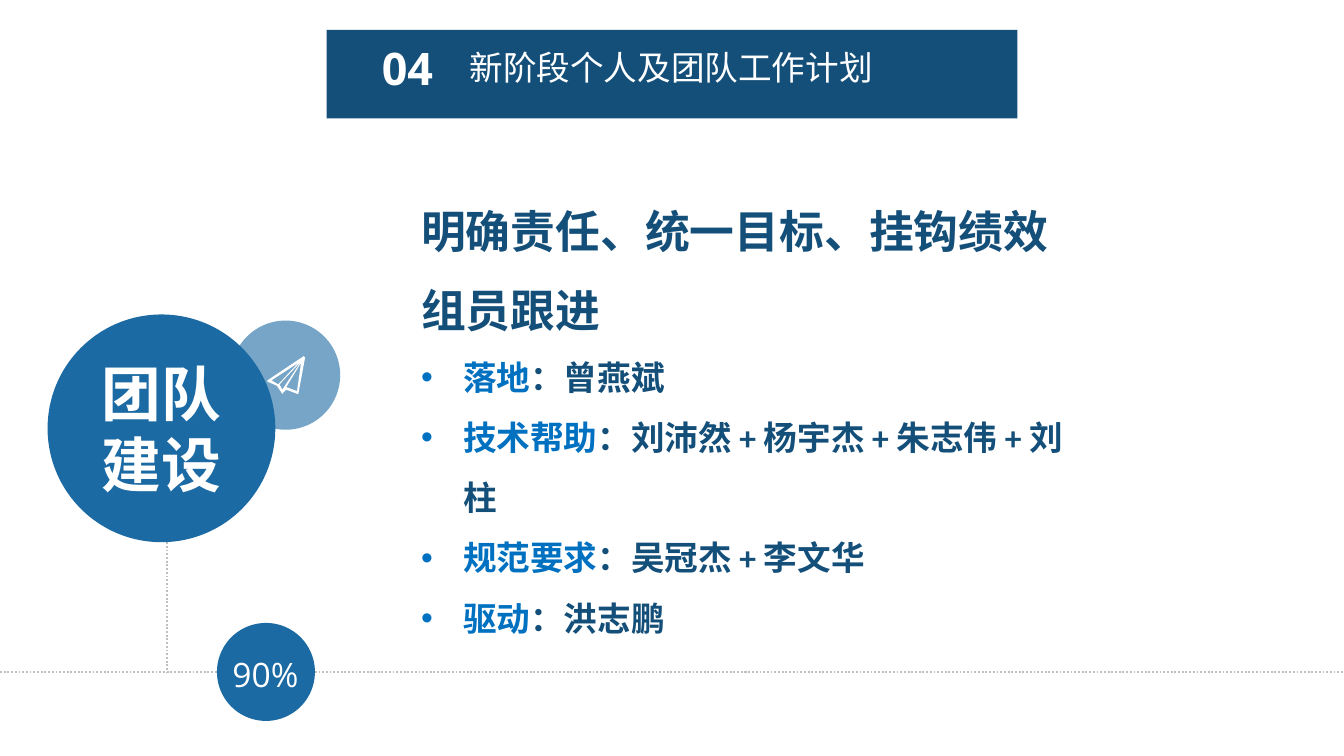
from dataclasses import dataclass

from lxml import etree
from pptx import Presentation, util as u
from pptx.dml.color import RGBColor
from pptx.enum import dml, shapes, text
from pptx.oxml.ns import qn


@dataclass(frozen=True)
class Theme:
    navy: str = "144F7A"
    blue: str = "1B6AA3"
    accent: str = "0070C0"
    white: str = "FFFFFF"
    grey: str = "BFBFBF"
    cjk: str = "Noto Sans CJK SC"
    latin: str = "Open Sans"
    body: str = "Calibri"
    small: int = 18
    large: int = 24
    huge: int = 32


class Deck:
    def __init__(self, s, theme):
        self.s = s
        self.t = theme

    def shape(self, kind, x, y, w, h, color, alpha=None):
        sp = self.s.shapes.add_shape(kind, u.Pt(x), u.Pt(y), u.Pt(w), u.Pt(h))
        self.paint(sp, color)
        if alpha:
            clr = sp.fill._xPr.find(qn("a:solidFill"))[0]
            etree.SubElement(clr, qn("a:alpha"), val=str(alpha * 1000))
        return sp

    def circle(self, cx, cy, d, color, alpha=None):
        return self.shape(shapes.MSO_SHAPE.OVAL, cx - d / 2, cy - d / 2, d, d, color, alpha)

    def paint(self, sp, color):
        sp.shadow.inherit = False
        sp.fill.solid()
        sp.fill.fore_color.rgb = RGBColor.from_string(color)
        sp.line.fill.background()

    def line(self, x1, y1, x2, y2):
        c = self.s.shapes.add_connector(
            shapes.MSO_CONNECTOR.STRAIGHT, u.Pt(x1), u.Pt(y1), u.Pt(x2), u.Pt(y2))
        c.line.color.rgb = RGBColor.from_string(self.t.grey)
        c.line.width = u.Pt(1)
        c.line.dash_style = dml.MSO_LINE.ROUND_DOT
        etree.SubElement(c._element.spPr, qn("a:effectLst"))

    def outline(self, x, y, unit, contours, color):
        first, *rest = contours
        fb = self.s.shapes.build_freeform(*first[0], scale=u.Pt(unit))
        fb.add_line_segments(first[1:], close=True)
        for points in rest:
            fb.move_to(*points[0])
            fb.add_line_segments(points[1:], close=True)
        self.paint(fb.convert_to_shape(u.Pt(x), u.Pt(y)), color)

    def textbox(self, x, y, w, h, wrap=True, top=3.6, right=7.2):
        tf = self.s.shapes.add_textbox(u.Pt(x), u.Pt(y), u.Pt(w), u.Pt(h)).text_frame
        tf.word_wrap = wrap
        tf.margin_top, tf.margin_right = u.Pt(top), u.Pt(right)
        return tf

    def style(self, r, size, font, color, bold=False):
        r.font.size = u.Pt(size)
        r.font.bold = bold
        r.font.name = font
        r.font.color.rgb = RGBColor.from_string(color)
        if font == self.t.cjk:
            ea = etree.Element(qn("a:ea"), typeface=font)
            r._r.rPr.find(qn("a:latin")).addnext(ea)

    def label(self, tf, content, size, font, color, bold=False, align=None, spacing=None):
        tf.text = content
        for p in tf.paragraphs:
            p.alignment = align
            if spacing:
                p.line_spacing = u.Pt(spacing)
            self.style(p.runs[0], size, font, color, bold)

    def bullet(self, tf, term, names, spacing, indent):
        p = tf.add_paragraph()
        p.line_spacing = u.Pt(spacing)
        pPr = p._p.get_or_add_pPr()
        pPr.set("marL", str(u.Pt(indent)))
        pPr.set("indent", str(-u.Pt(indent)))
        etree.SubElement(pPr, qn("a:buFont"), typeface="Arial")
        etree.SubElement(pPr, qn("a:buChar"), char="•")
        for content, color in ((term, self.t.accent), ("：" + names, self.t.navy)):
            r = p.add_run()
            r.text = content
            self.style(r, self.t.small, self.t.body, color, True)


PLANE = [
    [(27, 0), (0, 18), (0.5, 19), (7, 22), (11, 28), (14, 25), (22, 28), (23, 28), (28, 1)],
    [(22, 26), (14, 23), (25, 5)],
    [(9, 21), (25, 4), (11, 25)],
    [(3, 18), (23, 5), (8, 21)],
]
ROLES = [
    ("落地", "曾燕斌"),
    ("技术帮助", "刘沛然 + 杨宇杰 + 朱志伟 + 刘柱"),
    ("规范要求", "吴冠杰 + 李文华"),
    ("驱动", "洪志鹏"),
]


def main():
    prs = Presentation()
    prs.slide_width, prs.slide_height = u.Pt(720), u.Pt(405)
    t = Theme()
    d = Deck(prs.slides.add_slide(prs.slide_layouts[6]), t)
    center = text.PP_ALIGN.CENTER

    d.shape(shapes.MSO_SHAPE.RECTANGLE, 175, 16, 370, 47.5, t.navy)
    d.label(d.textbox(174, 18.5, 88.5, 36), "04", t.large, t.latin, t.white, True, center)
    d.label(d.textbox(244.5, 24.5, 230.5, 29, top=0.6), "新阶段个人及团队工作计划",
            t.small, t.cjk, t.white)

    d.line(89.5, 286.5, 89.5, 360)
    d.line(0, 360, 405, 360)
    d.circle(153, 201, 58.5, t.blue, 60)
    team = d.circle(86.5, 229.5, 122, t.blue)
    team.text_frame.vertical_anchor = text.MSO_ANCHOR.MIDDLE
    d.label(team.text_frame, "团队\n建设", t.huge, t.body, t.white, True, center, 38)
    d.outline(143.3, 190.8, 0.72, PLANE, t.white)

    d.circle(142.5, 360, 52.5, t.blue)
    d.label(d.textbox(116, 347, 51, 29, wrap=False), "90%", t.small, t.latin, t.white,
            align=text.PP_ALIGN.RIGHT)
    d.line(395, 360, 720, 360)

    plan = d.textbox(218.5, 88.5, 382, 225.5, top=6.6, right=24)
    d.label(plan, "明确责任、统一目标、挂钩绩效\n组员跟进", t.large, t.cjk, t.navy, True, spacing=42.6)
    for term, names in ROLES:
        d.bullet(plan, term, names, 32.3, 22.5)

    prs.save("out.pptx")


if __name__ == "__main__":
    main()
